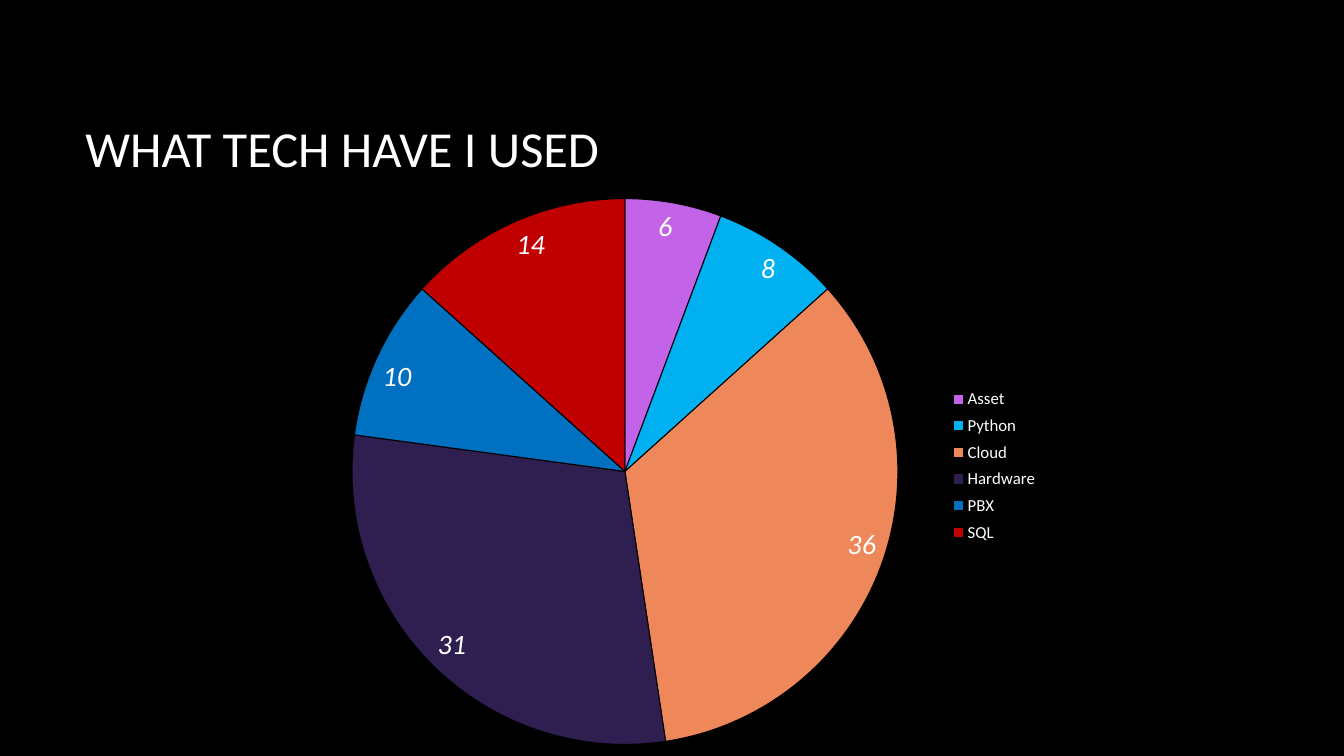
from lxml import etree
from pptx import Presentation
from pptx.chart.data import CategoryChartData
from pptx.dml.color import RGBColor
from pptx.enum.chart import XL_CHART_TYPE, XL_LABEL_POSITION, XL_LEGEND_POSITION
from pptx.enum.text import MSO_ANCHOR, MSO_AUTO_SIZE, PP_ALIGN
from pptx.oxml.ns import qn
from pptx.util import Inches, Pt

PIE = XL_CHART_TYPE.PIE
INSIDE_END = XL_LABEL_POSITION.INSIDE_END
LEGEND_RIGHT = XL_LEGEND_POSITION.RIGHT
MIDDLE = MSO_ANCHOR.MIDDLE
NO_AUTOFIT = MSO_AUTO_SIZE.NONE
LEFT = PP_ALIGN.LEFT
TITLE_ONLY = 5

WIDTH, HEIGHT = Inches(13.33), Inches(7.5)
FONT = "Calibri"
COLORS = {
    "background": "000000",
    "text": "FFFFFF",
    "violet": "C363E8",
    "sky": "00B0F0",
    "orange": "EE875A",
    "indigo": "2F1F50",
    "blue": "0070C0",
    "red": "C00000",
}
TECH_USED = [
    ("Asset", 6, "violet"),
    ("Python", 8, "sky"),
    ("Cloud", 36, "orange"),
    ("Hardware", 31, "indigo"),
    ("PBX", 10, "blue"),
    ("SQL", 14, "red"),
]

# Shares of the slide: left, top, width, height
TITLE_BOX = (0.056, 0.09, 0.83, 0.21)
CHART_BOX = (0, 0.24, 1, 0.76)
# Shares of the chart
PIE_BOX = (0.26, 0.03, 0.41, 0.95)
LEGEND_BOX = (0.7, 0.35, 0.08, 0.29)


def color(name):
    return RGBColor.from_string(COLORS[name])


def on_slide(box):
    """Turn shares of the slide into lengths."""
    return [int(share * side) for share, side in zip(box, (WIDTH, HEIGHT) * 2)]


def format_font(font, size, italic=False):
    font.name = FONT
    font.size = Pt(size)
    font.bold = False
    font.italic = italic
    font.color.rgb = color("text")


def write_text(frame, text, size, align=LEFT, anchor=MIDDLE):
    frame.word_wrap = True
    frame.auto_size = NO_AUTOFIT
    frame.vertical_anchor = anchor
    para = frame.paragraphs[0]
    para.alignment = align
    span = para.add_run()
    span.text = text
    format_font(span.font, size)


def place_chart_part(part, box, index, inner=False):
    """Fix a chart part at shares of the chart, with its layout as child number index."""
    for old in part.findall(qn("c:layout")):
        part.remove(old)
    layout = etree.Element(qn("c:layout"))
    manual = etree.SubElement(layout, qn("c:manualLayout"))
    settings = [("layoutTarget", "inner")] if inner else []
    settings += [("xMode", "edge"), ("yMode", "edge")]
    settings += zip("xywh", box)
    for name, value in settings:
        etree.SubElement(manual, qn(f"c:{name}")).set("val", str(value))
    part.insert(index, layout)


def add_title(slide, box):
    title = slide.shapes.title
    title.left, title.top, title.width, title.height = on_slide(box)
    write_text(title.text_frame, "WHAT TECH HAVE I USED", size=36)


def add_tech_pie(slide, box):
    names, counts, fills = zip(*TECH_USED)
    data = CategoryChartData()
    data.categories = names
    data.add_series("Series 1", counts)
    chart = slide.shapes.add_chart(PIE, *on_slide(box), data).chart
    chart.has_title = False
    format_font(chart.font, 10)

    chart.has_legend = True
    legend = chart.legend
    legend.position = LEGEND_RIGHT
    legend.include_in_layout = False
    format_font(legend.font, 12)

    plot = chart.plots[0]
    plot.vary_by_categories = True
    plot.has_data_labels = True
    labels = plot.data_labels
    labels.show_value = True
    labels.show_percentage = False
    labels.position = INSIDE_END
    format_font(labels.font, 20, italic=True)

    for index, fill in enumerate(fills):
        slice_format = plot.series[0].points[index].format
        slice_format.fill.solid()
        slice_format.fill.fore_color.rgb = color(fill)
        slice_format.line.color.rgb = color("background")
        slice_format.line.width = Pt(0.75)

    plot_area = chart.element.find(".//" + qn("c:plotArea"))
    place_chart_part(plot_area, PIE_BOX, index=0, inner=True)
    place_chart_part(chart.element.find(".//" + qn("c:legend")), LEGEND_BOX, index=1)


def main():
    deck = Presentation()
    deck.slide_width, deck.slide_height = WIDTH, HEIGHT
    slide = deck.slides.add_slide(deck.slide_layouts[TITLE_ONLY])
    slide.background.fill.solid()
    slide.background.fill.fore_color.rgb = color("background")
    add_title(slide, TITLE_BOX)
    add_tech_pie(slide, CHART_BOX)
    deck.save("out.pptx")


if __name__ == "__main__":
    main()
